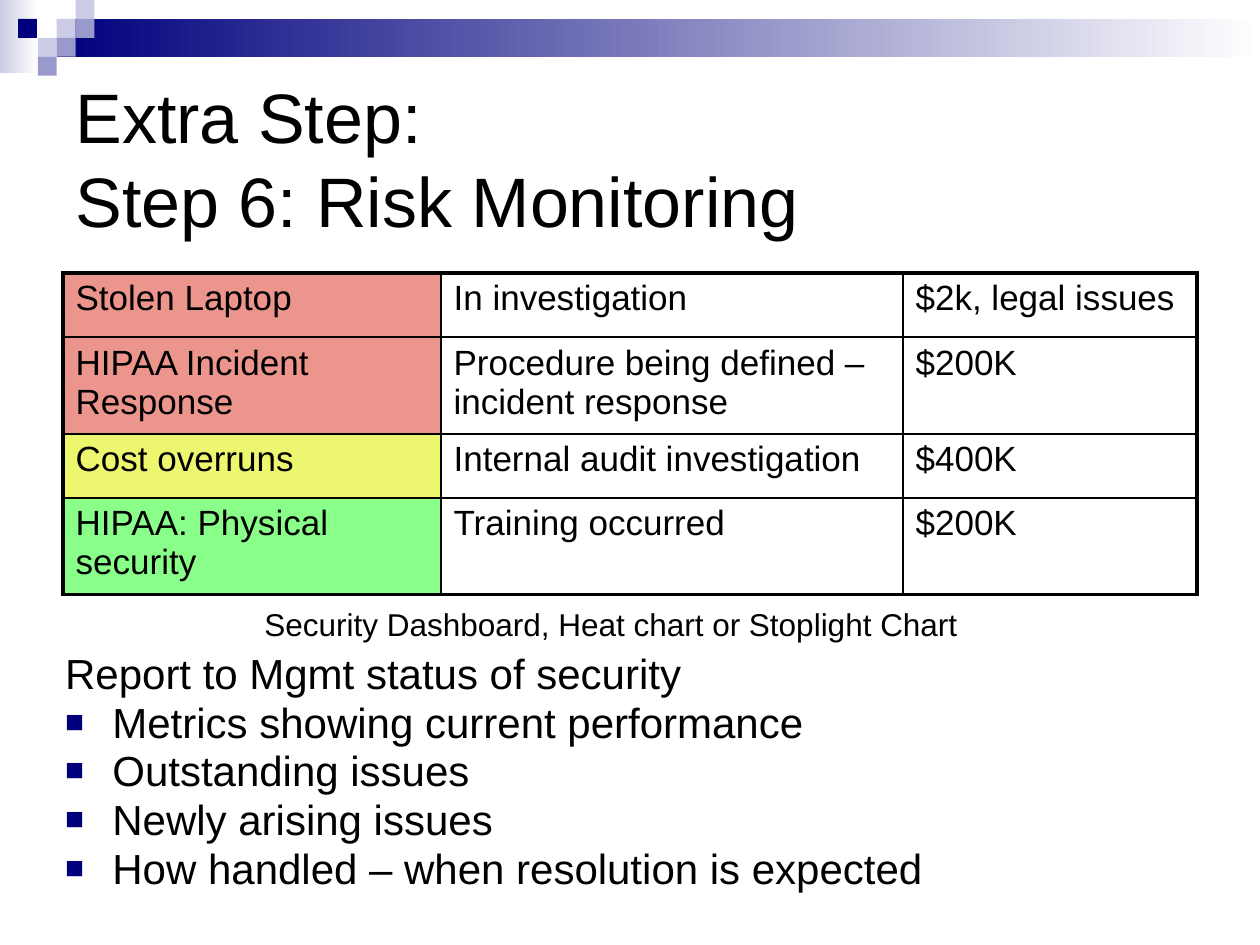
from lxml.etree import SubElement
from pptx import Presentation
from pptx.dml.color import RGBColor
from pptx.enum.shapes import MSO_SHAPE
from pptx.enum.text import MSO_ANCHOR, MSO_AUTO_SIZE, PP_ALIGN
from pptx.oxml import parse_xml
from pptx.oxml.ns import nsdecls, qn
from pptx.util import Pt

COLORS = {
    "text": "000000", "white": "FFFFFF", "navy": "00007D",
    "lilac": "CCCCE6", "violet": "9999CC",
    "red": "EC958C", "yellow": "ECF66E", "green": "89FF89",
}
SQUARE = 10.8
SQUARES = [
    (32.4, 10.8, "lilac"), (43.2, 0, "lilac"), (43.2, 10.8, "violet"),
    (21.6, 21.6, "lilac"), (10.3, 10.8, "navy"), (32.4, 21.6, "violet"),
    (21.6, 32.4, "violet"),
]
COLUMNS = [216, 264, 168]
ROWS = [
    (36.7, "red", ["Stolen Laptop", "In investigation", "$2k, legal issues"]),
    (55.2, "red", ["HIPAA Incident Response",
                   "Procedure being defined – incident response", "$200K"]),
    (36.7, "yellow", ["Cost overruns", "Internal audit investigation", "$400K"]),
    (55.2, "green", ["HIPAA: Physical security", "Training occurred", "$200K"]),
]
REPORT = [
    "Report to Mgmt status of security",
    "Metrics showing current performance",
    "Outstanding issues",
    "Newly arising issues",
    "How handled – when resolution is expected",
]


def rgb(name):
    return RGBColor.from_string(COLORS[name])


class SlideBuilder:
    font = "Arial"

    def __init__(self, slide):
        self.s = slide

    def place(self, sp, x, y, w, h):
        sp.left, sp.top, sp.width, sp.height = Pt(x), Pt(y), Pt(w), Pt(h)

    def style(self, tf, size):
        for p in tf.paragraphs:
            for r in p.runs:
                r.font.name = self.font
                r.font.size = Pt(size)
                r.font.color.rgb = rgb("text")

    def rect(self, x, y, w, h, color, fade=False):
        sp = self.s.shapes.add_shape(MSO_SHAPE.RECTANGLE, Pt(x), Pt(y), Pt(w), Pt(h))
        sp.shadow.inherit = False
        sp.line.fill.background()
        if fade:
            sp.fill.gradient()
            sp.fill.gradient_angle = 0
            for stop, name in zip(sp.fill.gradient_stops, (color, "white")):
                stop.color.rgb = rgb(name)
        else:
            sp.fill.solid()
            sp.fill.fore_color.rgb = rgb(color)

    def title(self, text, x, y, w, h):
        sp = self.s.shapes.title
        self.place(sp, x, y, w, h)
        tf = sp.text_frame
        tf.text = text
        tf.auto_size = MSO_AUTO_SIZE.NONE
        tf.vertical_anchor = MSO_ANCHOR.MIDDLE
        tf.paragraphs[0].alignment = PP_ALIGN.LEFT
        self.style(tf, 40)

    def body(self, lines, x, y, w, h):
        sp = self.s.placeholders[1]
        self.place(sp, x, y, w, h)
        tf = sp.text_frame
        tf.auto_size = MSO_AUTO_SIZE.NONE
        for i, line in enumerate(lines):
            p = tf.paragraphs[0] if i == 0 else tf.add_paragraph()
            p.text = line
            p.line_spacing = 0.8
            p.space_before = Pt(4.8 if i else 0)
            self.bullet(p, i > 0)
        self.style(tf, 24)

    def bullet(self, p, visible):
        pPr = p._p.get_or_add_pPr()
        pPr.set("marL", str(Pt(27)))
        pPr.set("indent", str(-Pt(27)))
        if not visible:
            SubElement(pPr, qn("a:buNone"))
            return
        clr = SubElement(pPr, qn("a:buClr"))
        SubElement(clr, qn("a:srgbClr"), val=COLORS["navy"])
        SubElement(pPr, qn("a:buSzPct"), val="75000")
        SubElement(pPr, qn("a:buFont"), typeface=self.font)
        SubElement(pPr, qn("a:buChar"), char="■")

    def caption(self, text, x, y, w, h):
        sp = self.s.shapes.add_textbox(Pt(x), Pt(y), Pt(w), Pt(h))
        tf = sp.text_frame
        tf.text = text
        tf.word_wrap = False
        tf.auto_size = MSO_AUTO_SIZE.NONE
        self.style(tf, 18)

    def borders(self, cell, widths):
        tcPr = cell._tc.get_or_add_tcPr()
        for i, (side, width) in enumerate(zip("LRTB", widths)):
            tcPr.insert(i, parse_xml(
                f'<a:ln{side} {nsdecls("a")} w="{Pt(width)}"><a:solidFill>'
                f'<a:srgbClr val="{COLORS["text"]}"/></a:solidFill></a:ln{side}>'))

    def table(self, rows, columns, x, y):
        height = sum(row[0] for row in rows)
        tbl = self.s.shapes.add_table(
            len(rows), len(columns), Pt(x), Pt(y), Pt(sum(columns)), Pt(height)).table
        tbl.first_row = tbl.horz_banding = False
        for col, width in zip(tbl.columns, columns):
            col.width = Pt(width)
        last_row, last_col = len(rows) - 1, len(columns) - 1
        for i, (row_height, status, texts) in enumerate(rows):
            tbl.rows[i].height = Pt(row_height)
            for j, text in enumerate(texts):
                cell = tbl.cell(i, j)
                cell.text = text
                cell.fill.solid()
                cell.fill.fore_color.rgb = rgb("white" if j else status)
                outer = (j == 0, j == last_col, i == 0, i == last_row)
                self.borders(cell, [2.25 if edge else 1 for edge in outer])
                self.style(cell.text_frame, 20)


def main():
    prs = Presentation()
    prs.slide_width, prs.slide_height = Pt(720), Pt(540)
    b = SlideBuilder(prs.slides.add_slide(prs.slide_layouts[1]))
    b.rect(0, 0, 22, 42, "lilac", fade=True)
    b.rect(32.4, 10.8, 687.6, 21.6, "navy", fade=True)
    for x, y, color in SQUARES:
        b.rect(x, y, SQUARE, SQUARE, color)
    b.title("Extra Step:\vStep 6: Risk Monitoring", 36, 36, 648, 108)
    b.table(ROWS, COLUMNS, 36, 156)
    b.body(REPORT, 30, 372, 648, 147)
    b.caption("Security Dashboard, Heat chart or Stoplight Chart", 144, 342, 414, 29)
    prs.save("out.pptx")


if __name__ == "__main__":
    main()
